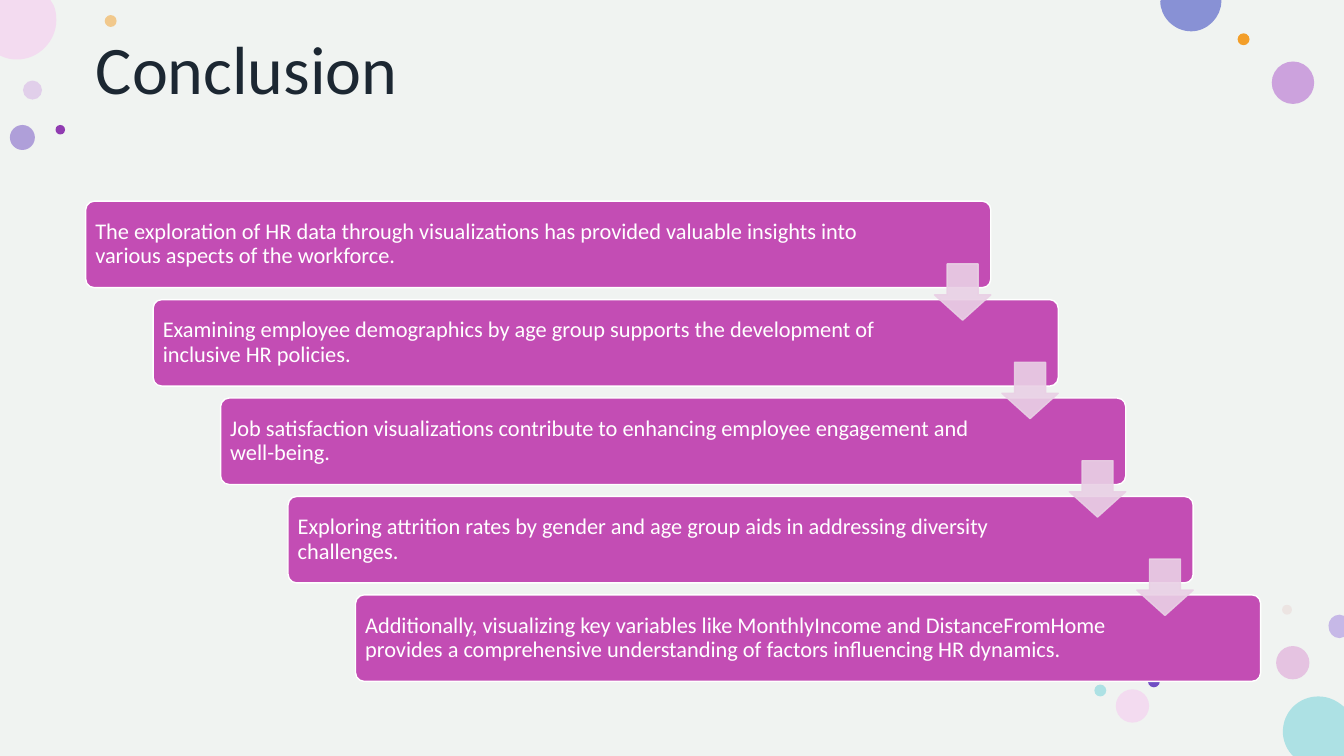
from lxml import etree
from pptx import Presentation
from pptx.dml.color import RGBColor
from pptx.enum.shapes import MSO_SHAPE as Preset
from pptx.enum.text import MSO_ANCHOR as Anchor, PP_ALIGN as Align
from pptx.oxml.ns import qn
from pptx.util import Cm, Pt


def paint(fill, hex_color, opacity=100):
    """Set a solid fill, with opacity in percent."""
    fill.solid()
    fill.fore_color.rgb = RGBColor.from_string(hex_color)
    if opacity < 100:
        for color in fill._xPr.iter(qn("a:srgbClr")):
            etree.SubElement(color, qn("a:alpha")).set("val", str(opacity * 1000))


def write(paragraph, text, size, hex_color):
    run = paragraph.add_run()
    run.text = text
    run.font.name = "Calibri"
    run.font.size = Pt(size)
    paint(run.font.fill, hex_color)
    paragraph.alignment = Align.LEFT
    paragraph.line_spacing = 0.9


prs = Presentation()
prs.slide_width, prs.slide_height = Cm(33.87), Cm(19.05)
slide = prs.slides.add_slide(prs.slide_layouts[5])
shapes = slide.shapes
paint(slide.background.fill, "F0F3F1")

# Whole bubbles: left, top, diameter, colour, opacity
bubbles = [
    (0.58, 2.03, 0.48, "D4ADE4", 50),
    (2.64, 0.38, 0.3, "F39E29", 50),
    (32.16, 16.28, 0.84, "DB94D2", 50),
    (0.25, 3.15, 0.63, "704DC3", 50),
    (32.05, 1.55, 1.07, "BF84D6", 72),
    (31.19, 0.84, 0.3, "F39E29", 100),
    (32.31, 15.24, 0.25, "E3BEBE", 28),
    (28.93, 17.02, 0.3, "704DC3", 100),
    (28.12, 17.37, 0.84, "F3DBF0", 100),
    (27.58, 17.25, 0.3, "ADE1E4", 100),
    (1.4, 3.15, 0.24, "903BB1", 100),
]
for left, top, diameter, hue, opacity in bubbles:
    bubble = shapes.add_shape(Preset.OVAL, Cm(left), Cm(top), Cm(diameter), Cm(diameter))
    bubble.shadow.inherit = False
    paint(bubble.fill, hue, opacity)
    bubble.line.fill.background()

# Bubbles cut by the slide edge: colour, segment kinds (L line, C curve), points
edge_bubbles = [
    ("ADE1E4", "CLLLCC", [
        (33.22, 17.55), (33.48, 17.55), (33.68, 17.65), (33.87, 17.81),
        (33.87, 19.05), (32.59, 19.05), (32.54, 19),
        (32.41, 18.85), (32.33, 18.64), (32.33, 18.44),
        (32.33, 17.93), (32.74, 17.55), (33.22, 17.55)]),
    ("F3DBF0", "LLCCCL", [
        (0, 0), (1.27, 0), (1.35, 0.13), (1.4, 0.23), (1.42, 0.36), (1.42, 0.51),
        (1.42, 1.04), (0.97, 1.5), (0.43, 1.5),
        (0.28, 1.5), (0.15, 1.47), (0.05, 1.42), (0, 1.4)]),
    ("8891D5", "LLCC", [
        (29.26, 0), (30.78, 0), (30.78, 0.03),
        (30.78, 0.43), (30.43, 0.79), (30.02, 0.79),
        (29.59, 0.79), (29.24, 0.43), (29.24, 0.03)]),
    ("C6B8E7", "LLLCC", [
        (33.76, 15.49), (33.87, 15.52), (33.87, 16.05), (33.76, 16.08),
        (33.6, 16.08), (33.48, 15.95), (33.48, 15.77),
        (33.48, 15.62), (33.6, 15.49), (33.76, 15.49)]),
]
for hue, segments, points in edge_bubbles:
    outline = [(Cm(x), Cm(y)) for x, y in points]
    builder = shapes.build_freeform(*outline[0])
    builder.add_line_segments(outline[1:], close=True)
    bubble = builder.convert_to_shape()
    bubble.shadow.inherit = False
    paint(bubble.fill, hue)
    bubble.line.fill.background()

    # Join three straight steps into one curve wherever the outline bends
    steps = iter(list(bubble._element.iter(qn("a:lnTo"))))
    for segment in segments:
        step = next(steps)
        if segment == "C":
            step.tag
            curve = etree.Element(qn("a:cubicBezTo"))
            step.addprevious(curve)
            for part in (step, next(steps), next(steps)):
                curve.append(part[0])
                part.getparent().remove(part)

title = shapes.title
title.left, title.top, title.width, title.height = Cm(2.16), Cm(0.89), Cm(29.62), Cm(3.68)
title.text_frame.vertical_anchor = Anchor.TOP
title.text_frame.margin_top = 0
write(title.text_frame.paragraphs[0], "Conclusion", 48.6, "1C2732")

# Staircase of findings: each step moves right and down
STEP_X, STEP_Y = 1.7, 2.48
findings = [
    "The exploration of HR data through visualizations has provided valuable insights into various aspects of the workforce.",
    "Examining employee demographics by age group supports the development of inclusive HR policies.",
    "Job satisfaction visualizations contribute to enhancing employee engagement and well-being.",
    "Exploring attrition rates by gender and age group aids in addressing diversity challenges.",
    "Additionally, visualizing key variables like MonthlyIncome and DistanceFromHome provides a comprehensive understanding of factors influencing HR dynamics.",
]
for i, finding in enumerate(findings):
    card = shapes.add_shape(Preset.ROUNDED_RECTANGLE, Cm(2.16 + i * STEP_X),
                            Cm(5.07 + i * STEP_Y), Cm(22.81), Cm(2.18))
    card.adjustments[0] = 0.1
    card.shadow.inherit = False
    paint(card.fill, "C34DB4")
    paint(card.line.fill, "FFFFFF")
    card.line.width = Pt(1)
    frame = card.text_frame
    frame.word_wrap = True
    frame.vertical_anchor = Anchor.MIDDLE
    frame.margin_left = frame.margin_top = frame.margin_bottom = Cm(0.18)
    frame.margin_right = Cm(3.27 if i else 2.64)
    write(frame.paragraphs[0], finding, 16, "FFFFFF")

for i in range(len(findings) - 1):
    arrow = shapes.add_shape(Preset.DOWN_ARROW, Cm(23.55 + i * STEP_X),
                             Cm(6.65 + i * STEP_Y), Cm(1.42), Cm(1.42))
    arrow.adjustments[0], arrow.adjustments[1] = 0.55, 0.45
    arrow.shadow.inherit = False
    paint(arrow.fill, "E9D0E5", 90)
    paint(arrow.line.fill, "E9D0E5", 90)
    arrow.line.width = Pt(1)

prs.save("out.pptx")
